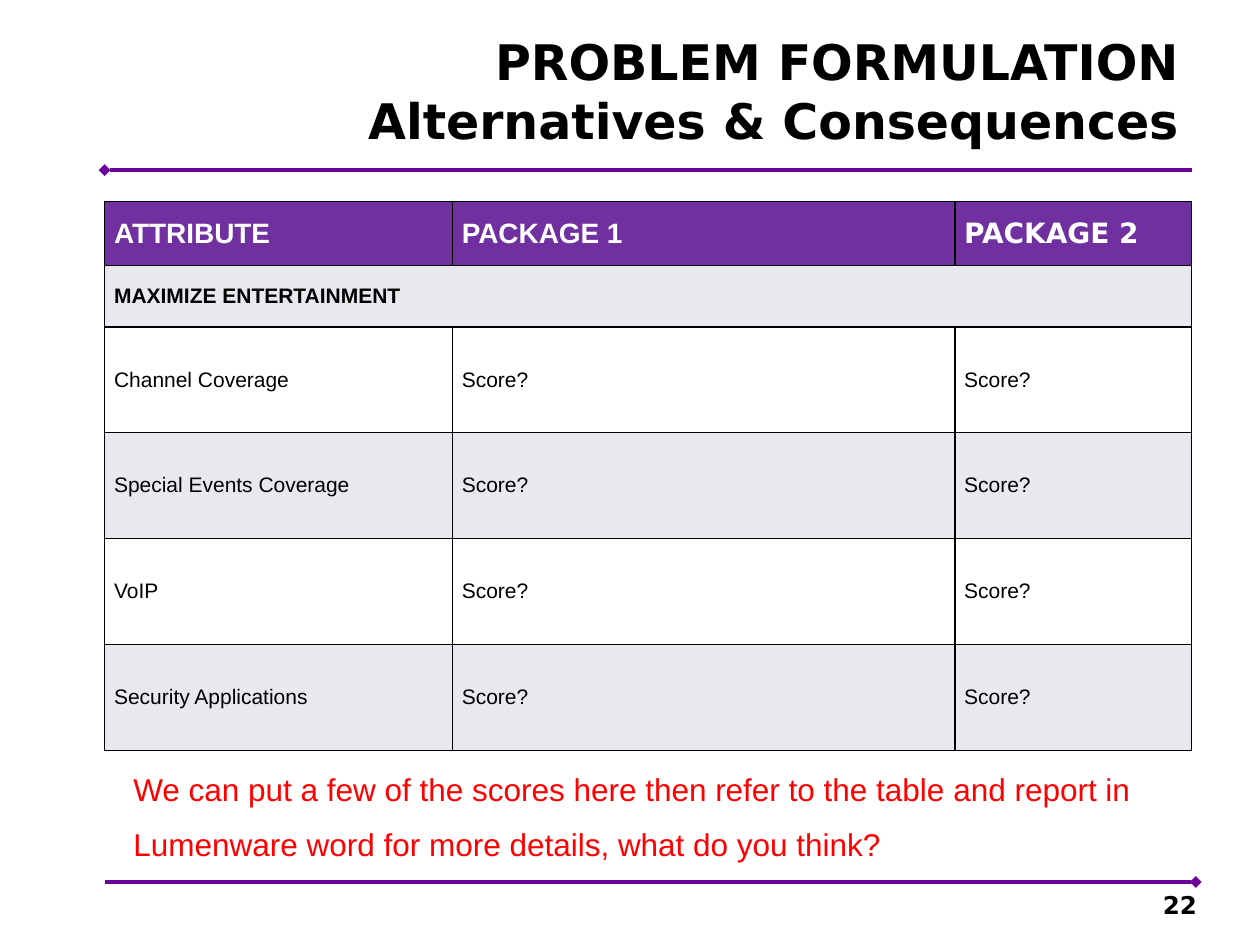
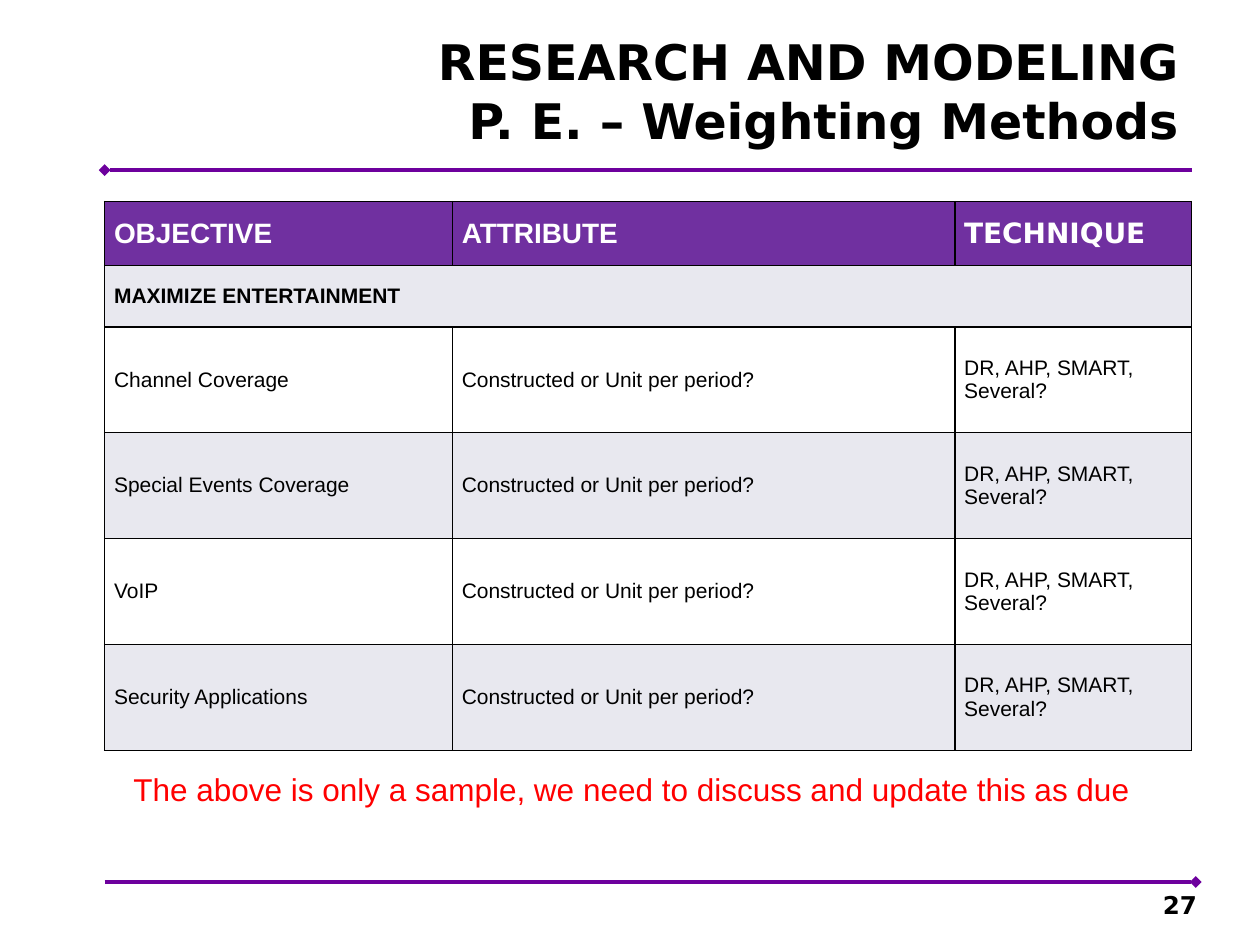
import pptx
import pptx.dml.color
import pptx.enum.shapes
import pptx.enum.text
import pptx.oxml
import pptx.oxml.ns
import pptx.util

Pt = pptx.util.Pt
ANCHOR = pptx.enum.text.MSO_ANCHOR
ALIGN = pptx.enum.text.PP_ALIGN

HEADING_FONT, BODY_FONT = "DejaVu Sans", "Arial"
RULE, HEADER, BAND = "6D009D", "7030A0", "E8E8EF"
BLACK, WHITE, RED = "000000", "FFFFFF", "FF0000"

LEFT = 59.8
COLUMN_WIDTHS = [198.7, 287.1, 135.2]
ROW_HEIGHTS = [36.4, 35.2] + [60.5] * 4
SECTION = "MAXIMIZE ENTERTAINMENT"
ITEMS = ["Channel Coverage", "Special Events Coverage", "VoIP", "Security Applications"]

SLIDES = [
    {
        "title": "PROBLEM FORMULATION\vAlternatives & Consequences",
        "number": "22",
        "headings": ["ATTRIBUTE", "PACKAGE 1", "PACKAGE 2"],
        "answers": ["Score?", "Score?"],
        "note": ["We can put a few of the scores here then refer to the table and report in",
                 "Lumenware word for more details, what do you think?"],
        "note_size": (601.2, 61.9),
    },
    {
        "title": "RESEARCH AND MODELING\vP. E. \u2013 Weighting Methods",
        "number": "27",
        "headings": ["OBJECTIVE", "ATTRIBUTE", "TECHNIQUE"],
        "answers": ["Constructed or Unit per period?", "DR, AHP, SMART, Several?"],
        "note": ["The above is only a sample, we need to discuss and update this as due"],
        "note_size": (589, 28.8),
    },
]


def rgb(value):
    """Turn a hex string into a colour."""
    return pptx.dml.color.RGBColor.from_string(value)


def style(para, font, size, color, bold=False):
    """Set the font of a paragraph."""
    para.font.name = font
    para.font.size = Pt(size)
    para.font.bold = bold
    para.font.color.rgb = rgb(color)


def add_text(page, bounds, lines, font, size, color, bold=False,
             align=ALIGN.LEFT, anchor=ANCHOR.TOP, wrap=True, space=0):
    """Add a text box with one paragraph per line and return its frame."""
    frame = page.shapes.add_textbox(*map(Pt, bounds)).text_frame
    frame.word_wrap = wrap
    frame.vertical_anchor = anchor
    for index, line in enumerate(lines):
        para = frame.add_paragraph() if index else frame.paragraphs[0]
        para.text = line
        para.alignment = align
        para.space_before = Pt(space if index else 0)
        style(para, font, size, color, bold)
    return frame


def add_rule(page, right, top, diamond_end):
    """Add a horizontal rule with a diamond at its headEnd or tailEnd."""
    rule = page.shapes.add_connector(
        pptx.enum.shapes.MSO_CONNECTOR.STRAIGHT, Pt(LEFT), Pt(top), Pt(right), Pt(top))
    rule.line.color.rgb = rgb(RULE)
    rule.line.width = Pt(2.25)
    properties = rule._element.spPr
    outline = properties.find(pptx.oxml.ns.qn("a:ln"))
    namespace = pptx.oxml.ns.nsdecls("a")
    outline.append(pptx.oxml.parse_xml(f'<a:{diamond_end} {namespace} type="diamond"/>'))
    properties.append(pptx.oxml.parse_xml(f"<a:effectLst {namespace}/>"))


def add_borders(cell):
    """Draw a thin black line on each side of a cell."""
    properties = cell._tc.get_or_add_tcPr()
    for index, side in enumerate(["lnL", "lnR", "lnT", "lnB"]):
        properties.insert(index, pptx.oxml.parse_xml(
            f'<a:{side} {pptx.oxml.ns.nsdecls("a")} w="{Pt(1)}">'
            f'<a:solidFill><a:srgbClr val="{BLACK}"/></a:solidFill></a:{side}>'))


def fill_cell(cell, text, fill, font, size, color, bold):
    """Write and format one table cell."""
    cell.fill.solid()
    cell.fill.fore_color.rgb = rgb(fill)
    cell.vertical_anchor = ANCHOR.MIDDLE
    cell.margin_left = cell.margin_right = Pt(5.4)
    cell.margin_top = cell.margin_bottom = 0
    cell.text = text
    style(cell.text_frame.paragraphs[0], font, size, color, bold)
    add_borders(cell)


def add_score_table(page, headings, answers):
    """Add the table: headings, a merged section row and one row per item."""
    rows = [headings, [SECTION, "", ""]] + [[item] + answers for item in ITEMS]
    table = page.shapes.add_table(
        len(rows), len(headings), Pt(LEFT), Pt(115.2),
        Pt(sum(COLUMN_WIDTHS)), Pt(sum(ROW_HEIGHTS))).table
    table.horz_banding = False
    for column, width in zip(table.columns, COLUMN_WIDTHS):
        column.width = Pt(width)
    for row, height in zip(table.rows, ROW_HEIGHTS):
        row.height = Pt(height)
    for row_index, texts in enumerate(rows):
        for column_index, text in enumerate(texts):
            cell = table.cell(row_index, column_index)
            if row_index == 0:
                font = HEADING_FONT if column_index == 2 else BODY_FONT
                fill_cell(cell, text, HEADER, font, 16, WHITE, True)
            else:
                fill = BAND if row_index % 2 else WHITE
                fill_cell(cell, text, fill, BODY_FONT, 12, BLACK, row_index == 1)
    table.cell(1, 0).merge(table.cell(1, 2))


def add_page(deck, content):
    """Add one slide with title, rules, number, table and note."""
    page = deck.slides.add_slide(deck.slide_layouts[6])
    add_rule(page, 681.1, 97.2, "headEnd")
    add_rule(page, 683.3, 504, "tailEnd")
    add_text(page, (190.1, 12.2, 490.3, 79.2), [content["title"]], HEADING_FONT, 28,
             BLACK, True, ALIGN.RIGHT, ANCHOR.MIDDLE)
    number = add_text(page, (516.2, 508.3, 167.8, 20.9), [content["number"]], HEADING_FONT,
                      14, BLACK, True, ALIGN.RIGHT, ANCHOR.BOTTOM)
    number.margin_right = 0
    add_score_table(page, content["headings"], content["answers"])
    note = add_text(page, (69.1, 436.3) + content["note_size"], content["note"],
                    BODY_FONT, 18, RED, wrap=False, space=10)
    note.auto_size = pptx.enum.text.MSO_AUTO_SIZE.SHAPE_TO_FIT_TEXT


def main():
    """Build and save the deck."""
    deck = pptx.Presentation()
    deck.slide_width, deck.slide_height = Pt(720), Pt(540)
    for content in SLIDES:
        add_page(deck, content)
    deck.save("out.pptx")


main()
